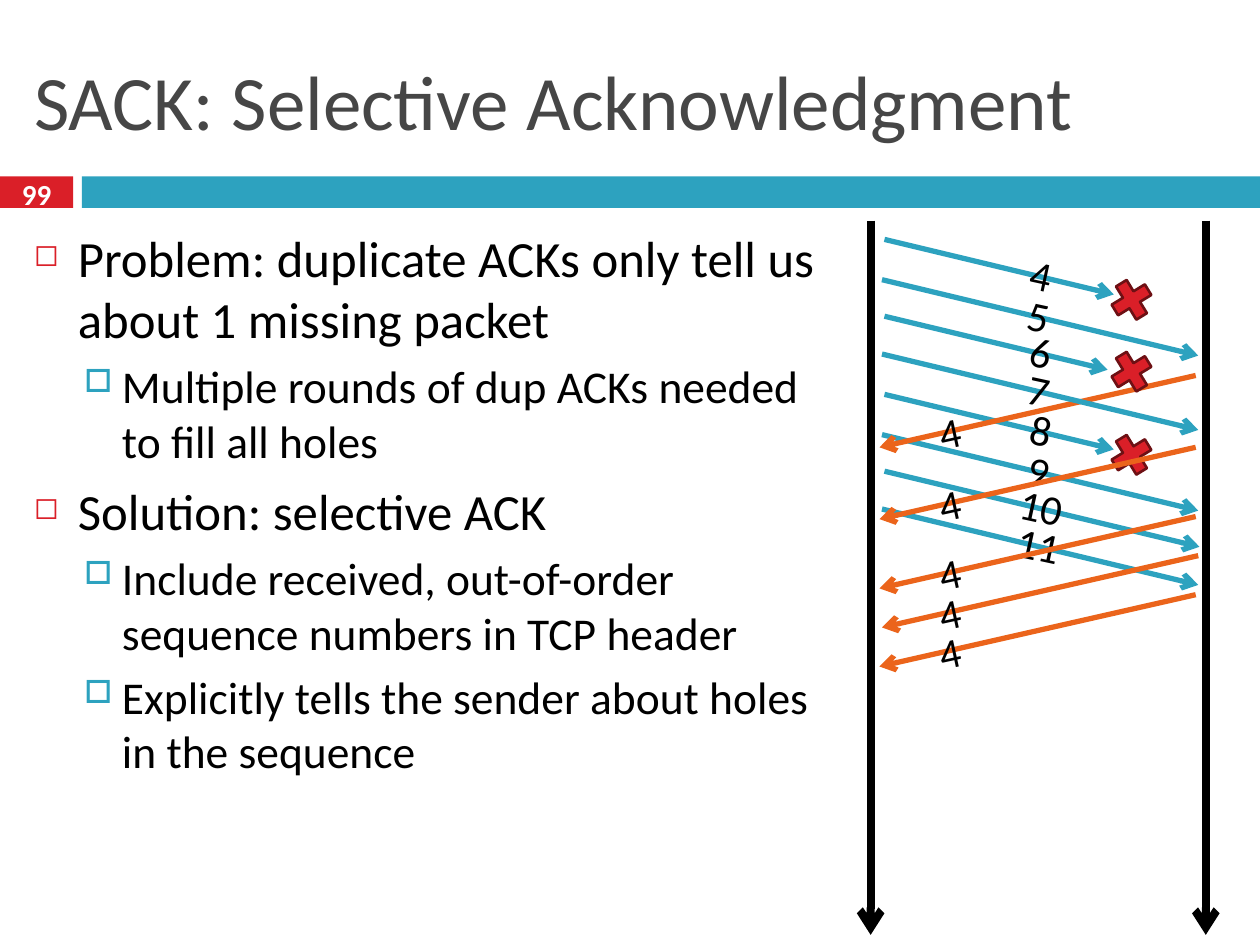
from pptx import Presentation, util as u
from pptx.dml.color import RGBColor
from pptx.enum import shapes, text
from pptx.oxml.ns import qn
from lxml import etree

RED = RGBColor(0xDA, 0x1F, 0x28)
DARK_RED = RGBColor(0x6D, 0x10, 0x14)
TEAL = RGBColor(0x2D, 0xA2, 0xBF)
ORANGE = RGBColor(0xEB, 0x64, 0x1B)
GRAY = RGBColor(0x46, 0x46, 0x46)
BLACK = RGBColor(0, 0, 0)
WHITE = RGBColor(255, 255, 255)
FONT = "Calibri"

LEVELS = [
    dict(size=29, before=7, margin=0.35, hang=0.35, bullet="◻", color=RED, scale=60),
    dict(size=26, before=5.5, margin=0.7, hang=0.3, bullet="□", color=TEAL, scale=70),
]
BODY = [
    (0, "Problem: duplicate ACKs only tell us about 1 missing packet"),
    (1, "Multiple rounds of dup ACKs needed to fill all holes"),
    (0, "Solution: selective ACK"),
    (1, "Include received, out-of-order sequence numbers in TCP header"),
    (1, "Explicitly tells the sender about holes in the sequence"),
]
SLOPE = 0.24


def place(sp, box):
    sp.left, sp.top, sp.width, sp.height = (u.Inches(v) for v in box)


def add_run(p, words, size, color, bold=False):
    r = p.add_run()
    r.text = words
    r.font.name, r.font.size, r.font.bold = FONT, u.Pt(size), bold
    r.font.color.rgb = color


def add_text_box(s, box, anchor=text.MSO_ANCHOR.TOP):
    sp = s.shapes.add_textbox(*(u.Inches(v) for v in box))
    tf = sp.text_frame
    tf.word_wrap = True
    tf.vertical_anchor = anchor
    return sp


def add_label(s, box, words, size, color, bold=False, rotation=0):
    sp = add_text_box(s, box, text.MSO_ANCHOR.MIDDLE)
    sp.rotation = rotation
    p = sp.text_frame.paragraphs[0]
    p.alignment = text.PP_ALIGN.CENTER
    add_run(p, words, size, color, bold)


def add_shape(s, kind, box, fill):
    sp = s.shapes.add_shape(kind, *(u.Inches(v) for v in box))
    sp.shadow.inherit = False
    sp.fill.solid()
    sp.fill.fore_color.rgb = fill
    sp.line.fill.background()
    return sp


def add_arrow(s, x1, y1, x2, y2, color, width):
    c = s.shapes.add_connector(shapes.MSO_CONNECTOR.STRAIGHT,
                               *(u.Inches(v) for v in (x1, y1, x2, y2)))
    c.line.color.rgb = color
    c.line.width = u.Pt(width)
    etree.SubElement(c.line._get_or_add_ln(), qn("a:tailEnd"), type="arrow")
    etree.SubElement(c._element.spPr, qn("a:effectLst"))


def add_title(s, box, words):
    sp = s.shapes.title
    place(sp, box)
    tf = sp.text_frame
    tf.vertical_anchor = text.MSO_ANCHOR.MIDDLE
    p = tf.paragraphs[0]
    p.alignment = text.PP_ALIGN.LEFT
    add_run(p, words, 44, GRAY)


def add_band(s, box, number):
    x, y, w, h = box
    tab, gap = 0.58, 0.07
    add_shape(s, shapes.MSO_SHAPE.RECTANGLE, (x, y, tab, h), RED)
    add_shape(s, shapes.MSO_SHAPE.RECTANGLE, (x + tab + gap, y, w - tab - gap, h), TEAL)
    add_label(s, (x, y - 0.03, tab, 0.33), number, 16.6, WHITE, bold=True)


def set_bullet(p, level):
    pPr = p._p.get_or_add_pPr()
    pPr.set("marL", str(u.Inches(level["margin"])))
    pPr.set("indent", str(-u.Inches(level["hang"])))
    clr = etree.SubElement(pPr, qn("a:buClr"))
    etree.SubElement(clr, qn("a:srgbClr"), val=str(level["color"]))
    etree.SubElement(pPr, qn("a:buSzPct"), val=str(level["scale"] * 1000))
    etree.SubElement(pPr, qn("a:buChar"), char=level["bullet"])


def add_body(s, box):
    tf = add_text_box(s, box).text_frame
    for i, (depth, words) in enumerate(BODY):
        p = tf.add_paragraph() if i else tf.paragraphs[0]
        level = LEVELS[depth]
        p.level = depth
        p.space_before = u.Pt(level["before"])
        set_bullet(p, level)
        add_run(p, words, level["size"], BLACK)


def add_packet(s, x, y, length, number):
    add_arrow(s, x, y, x + length, y + length * SLOPE, TEAL, 3)
    add_label(s, (x + 0.69, y + 0.03, 1.11, 0.5), str(number), 24, BLACK, rotation=12.3)


def add_window(s, x, y, first, lengths):
    starts = [(0.11, 0), (0.09, 0.32), (0.11, 0.61), (0.09, 0.91)]
    for i, ((dx, dy), length) in enumerate(zip(starts, lengths)):
        add_packet(s, x + dx, y + dy, length, first + i)


def add_ack(s, x, y, shift=0):
    add_arrow(s, x + 2.58 + shift, y, x + 0.07 + shift, y + 0.57, ORANGE, 3)
    add_label(s, (x + 0.07, y + 0.2, 1.11, 0.5), "4", 24, BLACK, rotation=347.5)


def add_loss(s, x, y):
    sp = add_shape(s, shapes.MSO_SHAPE.MATH_MULTIPLY, (x + 1.86, y, 0.42, 0.42), RED)
    sp.rotation = 13.5
    sp.line.color.rgb = DARK_RED
    sp.line.width = u.Pt(1.5)


def add_exchange(s, box):
    x, y, w, h = box
    for end in (x, x + w):
        add_arrow(s, end, y, end, y + h, BLACK, 4.5)
    add_window(s, x, y + 1.38, 8, [1.82, 2.51, 2.5, 2.51])
    add_loss(s, x, y + 1.65)
    add_ack(s, x, y + 1.23)
    add_window(s, x, y + 0.15, 4, [1.82, 2.51, 1.77, 2.51])
    for dy in (0.42, 0.99):
        add_loss(s, x, y + dy)
    for dy, shift in ((1.8, 0), (2.35, 0), (2.66, 0.02), (2.97, 0)):
        add_ack(s, x, y + dy, shift)


def main():
    prs = Presentation()
    prs.slide_width, prs.slide_height = u.Inches(10), u.Inches(7.5)
    s = prs.slides.add_slide(prs.slide_layouts[5])
    add_band(s, (0, 1.4, 10, 0.25), "99")
    add_title(s, (0.17, 0.25, 9.67, 1.08), "SACK: Selective Acknowledgment")
    add_body(s, (0.17, 1.75, 6.47, 5.58))
    add_exchange(s, (6.91, 1.75, 2.66, 5.67))
    prs.save("out.pptx")


if __name__ == "__main__":
    main()
